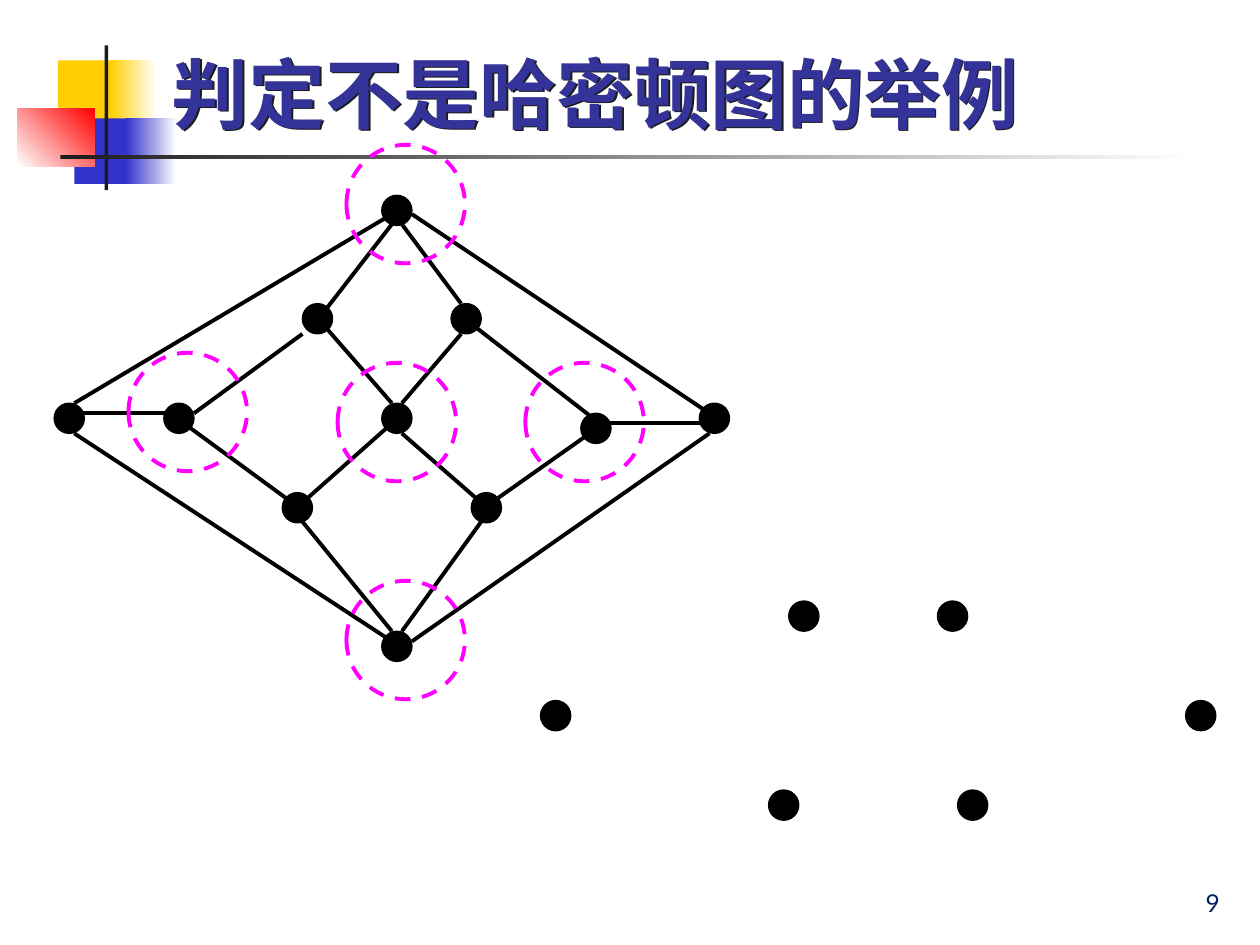
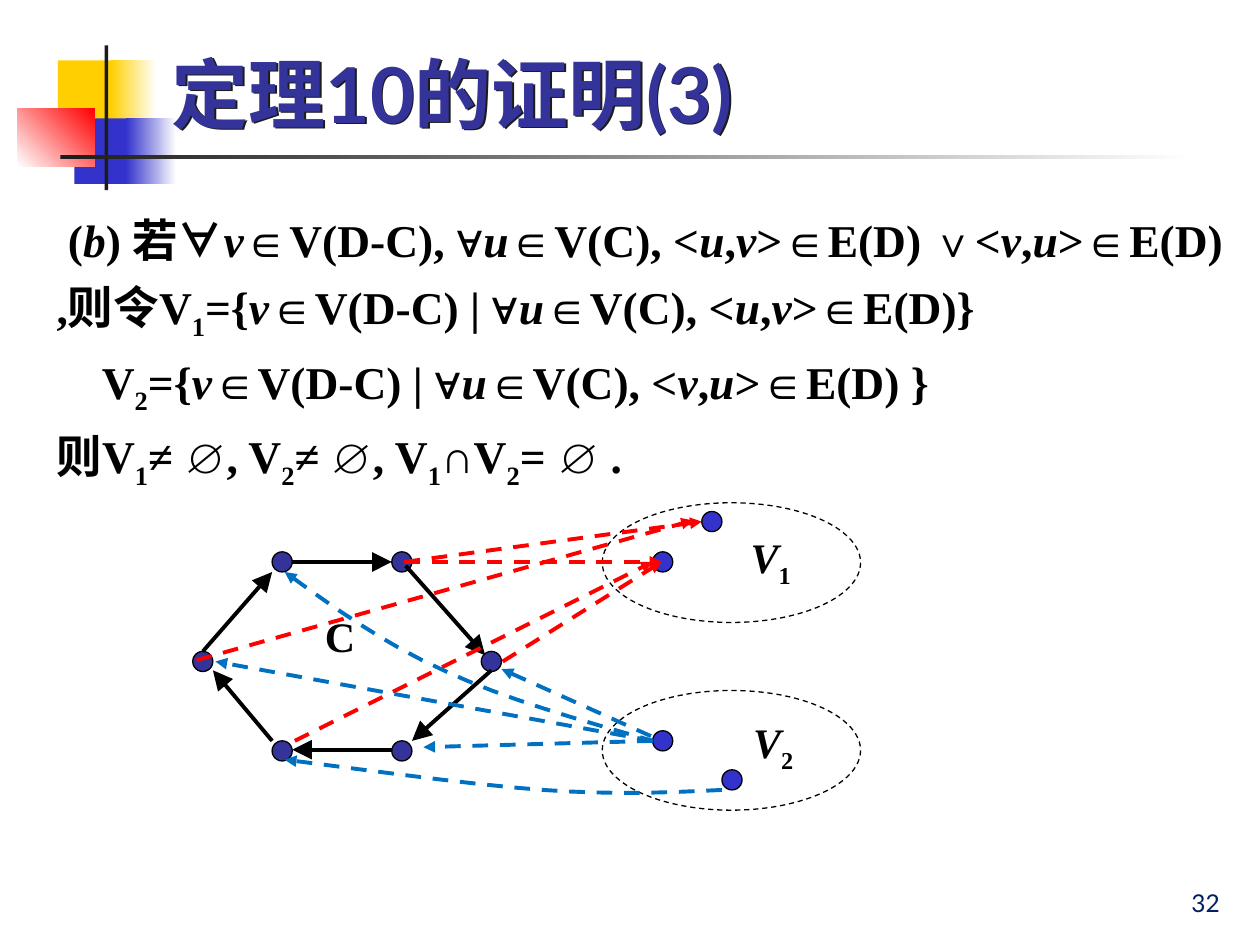
from itertools import groupby
from typing import NamedTuple

from lxml.etree import SubElement
from pptx import Presentation
from pptx.dml.color import RGBColor
from pptx.enum.dml import MSO_LINE
from pptx.enum.shapes import MSO_CONNECTOR, MSO_SHAPE
from pptx.enum.text import MSO_ANCHOR, PP_ALIGN
from pptx.oxml import parse_xml
from pptx.oxml.ns import nsdecls, qn
from pptx.util import Inches, Pt

BLACK, WHITE, CHARCOAL = "000000", "FFFFFF", "1C1C1C"
YELLOW, BLUE, INDIGO, NAVY = "FFCF01", "3333CC", "333399", "002060"
MAGENTA, RED, SKY = "FF00FF", "FF0000", "0070C0"
HEADING_FONT, BODY_FONT = "Lato", "Times New Roman"

Point = tuple[float, float]


class Band(NamedTuple):
    left: float
    top: float
    width: float
    height: float
    start: str
    end: str = ""
    angle: float = 0


class Stroke(NamedTuple):
    color: str = BLACK
    width: float = 2.25
    dashed: bool = False
    arrow: str = ""
    arrow_size: str = "med"


class Edge(NamedTuple):
    x1: float
    y1: float
    x2: float
    y2: float


class Formula(NamedTuple):
    text: str
    indent: float


BANDS = [
    Band(0.46, 0.48, 0.48, 0.52, YELLOW),
    Band(0.88, 0.48, 0.36, 0.52, YELLOW, WHITE),
    Band(0.59, 0.94, 0.46, 0.52, BLUE),
    Band(1, 0.94, 0.4, 0.52, BLUE, WHITE),
    Band(0.14, 0.86, 0.61, 0.46, WHITE, RED, 45),
    Band(0.83, 0.36, 0.03, 1.15, CHARCOAL),
    Band(0.48, 1.23, 9, 0.03, CHARCOAL, WHITE),
]

THIN = Stroke(width=0.75)
THIN_DASH = Stroke(width=0.75, dashed=True)
SOLID = Stroke()
CYCLE_ARROW = Stroke(arrow="a:tailEnd", arrow_size="lg")
RED_ARROW = Stroke(RED, dashed=True, arrow="a:tailEnd")
BLUE_ARROW = Stroke(SKY, dashed=True, arrow="a:tailEnd")
BLUE_BACK_ARROW = Stroke(SKY, dashed=True, arrow="a:headEnd")
CIRCLE_DASH = Stroke(MAGENTA, dashed=True)

VERTEX_SIZE, CIRCLE_SIZE, NODE_SIZE = 0.24, 0.94, 0.16
REMOVED_VERTICES = [(3.03, 1.55), (3.03, 5.01), (3.03, 3.2), (1.3, 3.2), (4.61, 3.28)]
KEPT_VERTICES = [(0.43, 3.2), (5.55, 3.2), (2.4, 2.41), (3.58, 2.41), (2.24, 3.91), (3.74, 3.91)]
COPY_SHIFT = (3.86, 2.36)
CIRCLES = [(2.75, 1.15), (2.75, 4.61), (2.68, 2.88), (4.17, 2.88), (1.02, 2.8)]
GRAPH_EDGES = [
    Edge(0.59, 3.2, 3.11, 1.7), Edge(3.27, 1.7, 5.63, 3.28),
    Edge(0.59, 3.44, 3.11, 5.09), Edge(3.27, 5.09, 5.63, 3.44),
    Edge(0.59, 3.28, 1.38, 3.28), Edge(4.84, 3.36, 5.63, 3.36),
    Edge(3.11, 1.78, 2.56, 2.49), Edge(1.54, 3.28, 2.4, 2.65),
    Edge(1.46, 3.36, 2.32, 3.99), Edge(2.4, 3.99, 3.11, 3.36),
    Edge(2.56, 2.57, 3.11, 3.2), Edge(3.19, 3.2, 3.66, 2.65),
    Edge(3.19, 1.78, 3.66, 2.41), Edge(3.74, 2.57, 4.76, 3.36),
    Edge(3.9, 3.99, 4.68, 3.44), Edge(3.19, 3.44, 3.82, 3.99),
    Edge(2.4, 4.14, 3.11, 5.01), Edge(3.19, 5.01, 3.82, 4.14),
]

FORMULAS = [
    Formula("(b) 若∀v∈V(D-C), ∀u∈V(C), <u,v>∈E(D) ∨<v,u>∈E(D)\n"
            ",则令V₁={v∈V(D-C) | ∀u∈V(C), <u,v>∈E(D)}", 0.09),
    Formula("V₂={v∈V(D-C) | ∀u∈V(C), <v,u>∈E(D) }", 0.36),
    Formula("则V₁≠ ∅, V₂≠ ∅, V₁∩V₂= ∅ .", 0),
]
SUBSCRIPTS = {"₁": "1", "₂": "2"}
SET_OUTLINES = [(4.78, 3.99), (4.78, 5.48)]
SET_NODES = [(5.57, 4.06), (5.18, 4.38), (5.73, 6.11), (5.18, 5.8)]
CYCLE_NODES = [(2.16, 4.38), (3.11, 4.38), (1.53, 5.17), (3.82, 5.17), (2.16, 5.88), (3.11, 5.88)]
CYCLE_EDGES = [
    Edge(2.32, 4.46, 3.11, 4.46), Edge(3.22, 4.49, 3.85, 5.2), Edge(3.9, 5.32, 3.27, 5.88),
    Edge(3.11, 5.95, 2.32, 5.95), Edge(2.16, 5.88, 1.69, 5.32), Edge(1.61, 5.17, 2.16, 4.54),
]
EDGES_TO_V1 = [
    Edge(3.21, 4.46, 5.57, 4.14), Edge(3.21, 4.46, 5.25, 4.46), Edge(1.56, 5.24, 5.5, 4.13),
    Edge(3.99, 5.25, 5.25, 4.46), Edge(2.34, 5.88, 5.18, 4.46),
]
BACK_EDGES_FROM_V2 = [Edge(3.98, 5.31, 5.25, 5.88)]
EDGES_FROM_V2 = [Edge(5.18, 5.88, 1.71, 5.25), Edge(5.18, 5.88, 3.36, 5.93)]
UPPER_CURVE = [(2.26, 4.54), (2.65, 4.82), (3.03, 5.1), (3.52, 5.32),
               (4.01, 5.55), (4.59, 5.71), (5.18, 5.88)]
LOWER_CURVE = [(5.73, 6.27), (5.31, 6.29), (4.89, 6.31), (4.31, 6.27),
               (3.73, 6.23), (2.6, 6.07), (2.26, 6.03)]
LABELS = [("V₁", 5.86, 4.17, 0.53), ("V₂", 5.88, 5.64, 0.53), ("C", 2.48, 4.8, 0.44)]


def rgb(value: str) -> RGBColor:
    return RGBColor.from_string(value)


def style_line(line, stroke: Stroke) -> None:
    line.color.rgb = rgb(stroke.color)
    line.width = Pt(stroke.width)
    if stroke.dashed:
        line.dash_style = MSO_LINE.DASH
    if stroke.arrow:
        SubElement(line._get_or_add_ln(), qn(stroke.arrow), type="triangle",
                   w=stroke.arrow_size, len=stroke.arrow_size)


def style_font(font, name: str, size: float, color: str, bold: bool = False) -> None:
    font.name, font.size, font.bold = name, Pt(size), bold
    font.color.rgb = rgb(color)


def add_band(page, band: Band) -> None:
    shape = page.shapes.add_shape(
        MSO_SHAPE.RECTANGLE, *map(Inches, (band.left, band.top, band.width, band.height)))
    shape.shadow.inherit = False
    shape.line.fill.background()
    if band.end:
        shape.fill.gradient()
        shape.fill.gradient_angle = band.angle
        for stop, color in zip(shape.fill.gradient_stops, (band.start, band.end)):
            stop.color.rgb = rgb(color)
    else:
        shape.fill.solid()
        shape.fill.fore_color.rgb = rgb(band.start)


def add_ellipses(page, corners: list[Point], width: float, height: float,
                 stroke: Stroke, fill: str = "") -> None:
    for left, top in corners:
        shape = page.shapes.add_shape(
            MSO_SHAPE.OVAL, Inches(left), Inches(top), Inches(width), Inches(height))
        shape.shadow.inherit = False
        style_line(shape.line, stroke)
        if fill:
            shape.fill.solid()
            shape.fill.fore_color.rgb = rgb(fill)
        else:
            shape.fill.background()


def add_edges(page, edges: list[Edge], stroke: Stroke) -> None:
    for edge in edges:
        connector = page.shapes.add_connector(MSO_CONNECTOR.STRAIGHT, *map(Inches, edge))
        SubElement(connector._element.spPr, qn("a:effectLst"))
        style_line(connector.line, stroke)


def bezier(controls: list[Point], t: float) -> Point:
    weights = ((1 - t) ** 3, 3 * t * (1 - t) ** 2, 3 * t ** 2 * (1 - t), t ** 3)
    x, y = (sum(w * value for w, value in zip(weights, axis)) for axis in zip(*controls))
    return Inches(x), Inches(y)


def add_curve(page, controls: list[Point], stroke: Stroke, steps: int = 8) -> None:
    points = [bezier(controls[first:first + 4], step / steps)
              for first in range(0, len(controls) - 1, 3) for step in range(1, steps + 1)]
    builder = page.shapes.build_freeform(*map(Inches, controls[0]))
    builder.add_line_segments(points, close=False)
    shape = builder.convert_to_shape()
    shape.shadow.inherit = False
    shape.fill.background()
    style_line(shape.line, stroke)


def write_formula(para, text: str, size: float, italics: str) -> None:
    def kind(char: str) -> str:
        groups = (("break", "\n"), ("italic", italics), ("sub", "₁₂"), ("small", "∅∨"))
        return next((name for name, chars in groups if char in chars), "plain")

    for name, chars in groupby(text, kind):
        if name == "break":
            para.add_line_break()
            continue
        span = para.add_run()
        span.text = "".join(SUBSCRIPTS.get(char, char) for char in chars)
        style_font(span.font, BODY_FONT, 24 if name == "small" else size, BLACK, True)
        span.font.italic = name == "italic"
        if name == "sub":
            span.font._element.set("baseline", "-25000")


def add_text_box(page, left: float, top: float, width: float, height: float, wrap: bool = True):
    box = page.shapes.add_textbox(Inches(left), Inches(top), Inches(width), Inches(height))
    box.text_frame.word_wrap = wrap
    return box.text_frame


def add_page(deck, title: str, number: str):
    page = deck.slides.add_slide(deck.slide_layouts[5])
    for band in BANDS:
        add_band(page, band)

    heading = page.shapes.title
    page.shapes._spTree.append(heading._element)
    heading.left, heading.top = Inches(1.26), Inches(0.08)
    heading.width, heading.height = Inches(8.52), Inches(1.07)
    heading.text_frame.text = title
    heading.text_frame.vertical_anchor = MSO_ANCHOR.BOTTOM
    para = heading.text_frame.paragraphs[0]
    para.alignment = PP_ALIGN.LEFT
    style_font(para.runs[0].font, HEADING_FONT, 44, INDIGO, True)
    heading._element.spPr.append(parse_xml(
        f'<a:effectLst {nsdecls("a")}><a:outerShdw dist="17961" dir="2700000">'
        f'<a:srgbClr val="{CHARCOAL}"/></a:outerShdw></a:effectLst>'))

    frame = add_text_box(page, 7.7, 6.83, 2.08, 0.5)
    frame.text = number
    frame.vertical_anchor = MSO_ANCHOR.BOTTOM
    frame.paragraphs[0].alignment = PP_ALIGN.RIGHT
    style_font(frame.paragraphs[0].runs[0].font, HEADING_FONT, 14, NAVY)
    return page


def add_graph_page(deck) -> None:
    page = add_page(deck, "判定不是哈密顿图的举例", "9")
    shifted = [(x + COPY_SHIFT[0], y + COPY_SHIFT[1]) for x, y in KEPT_VERTICES]
    add_ellipses(page, REMOVED_VERTICES + KEPT_VERTICES + shifted,
                 VERTEX_SIZE, VERTEX_SIZE, THIN, BLACK)
    add_edges(page, GRAPH_EDGES, SOLID)
    add_ellipses(page, CIRCLES, CIRCLE_SIZE, CIRCLE_SIZE, CIRCLE_DASH)


def add_proof_page(deck) -> None:
    page = add_page(deck, "定理10的证明(3)", "32")
    frame = add_text_box(page, 0.35, 1.55, 9.65, 5.75)
    frame.margin_right = 0
    for index, formula in enumerate(FORMULAS):
        para = frame.add_paragraph() if index else frame.paragraphs[0]
        para.line_spacing = 1.2
        para._p.get_or_add_pPr().set("indent", str(Inches(formula.indent)))
        write_formula(para, formula.text, 26, "buv")

    add_ellipses(page, SET_OUTLINES, 2.05, 0.95, THIN_DASH)
    add_ellipses(page, SET_NODES, NODE_SIZE, NODE_SIZE, THIN, BLUE)
    add_ellipses(page, CYCLE_NODES, NODE_SIZE, NODE_SIZE, THIN, INDIGO)
    add_edges(page, CYCLE_EDGES, CYCLE_ARROW)
    for text, left, top, width in LABELS:
        label = add_text_box(page, left, top, width, 0.5, wrap=False)
        write_formula(label.paragraphs[0], text, 24, "V")
    add_edges(page, EDGES_TO_V1, RED_ARROW)
    add_edges(page, BACK_EDGES_FROM_V2, BLUE_BACK_ARROW)
    add_curve(page, UPPER_CURVE, BLUE_BACK_ARROW)
    add_edges(page, EDGES_FROM_V2, BLUE_ARROW)
    add_curve(page, LOWER_CURVE, BLUE_ARROW)


def main() -> None:
    deck = Presentation()
    deck.slide_width, deck.slide_height = Inches(10), Inches(7.5)
    add_graph_page(deck)
    add_proof_page(deck)
    deck.save("out.pptx")


if __name__ == "__main__":
    main()
